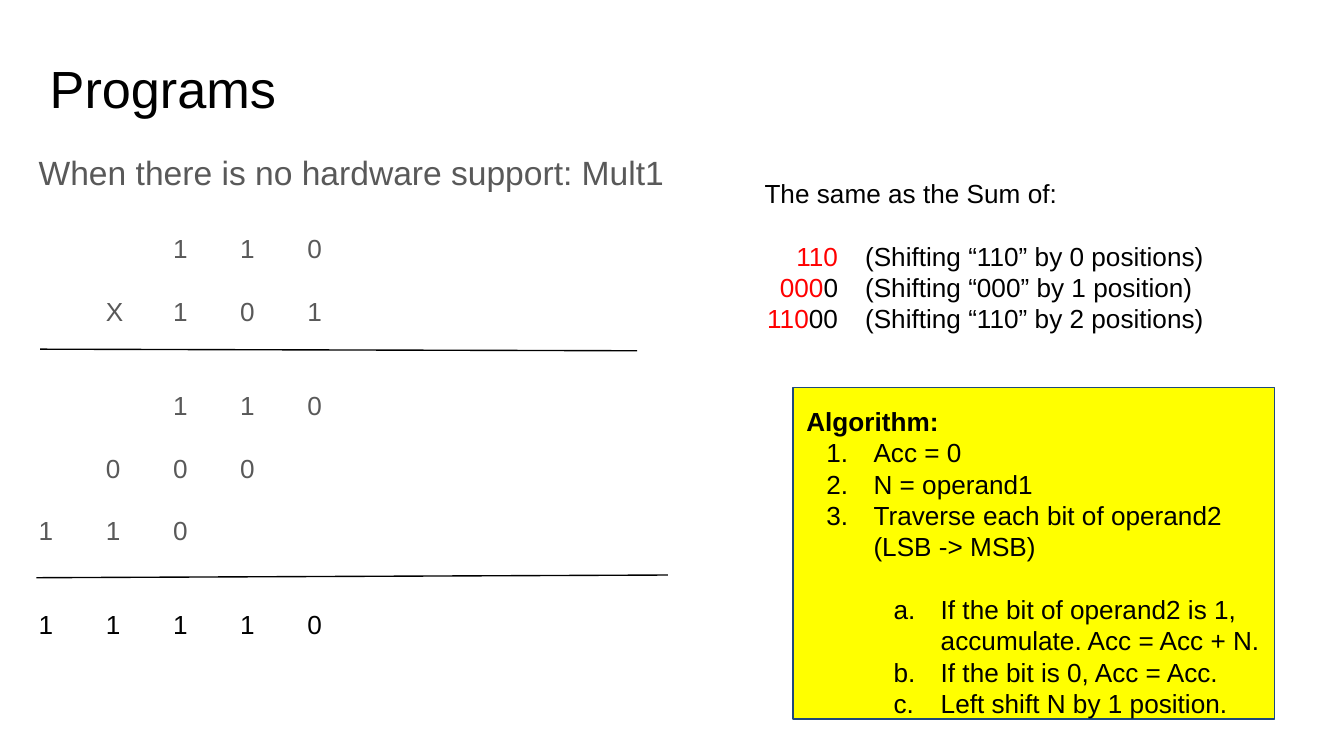
from lxml import etree
from pptx import Presentation
from pptx import util as u
from pptx.dml.color import RGBColor
from pptx.enum import shapes, text
from pptx.oxml import ns

BLACK, GREY, RED, YELLOW, NAVY = "000000", "595959", "FF0000", "FFFF00", "1F497D"
LEADING = 1.2
ROW = 14 * LEADING


def color(value):
    return RGBColor.from_string(value)


def set_attrs(obj, values):
    for name, value in values.items():
        setattr(obj, name, value)


def place(sp, left, top, width, height):
    box = {"left": left, "top": top, "width": width, "height": height}
    set_attrs(sp, {name: u.Cm(value) for name, value in box.items()})


def setup_frame(sp, top_margin=0.25):
    tf = sp.text_frame
    set_attrs(tf, {
        "word_wrap": True,
        "auto_size": text.MSO_AUTO_SIZE.NONE,
        "vertical_anchor": text.MSO_ANCHOR.TOP,
        "margin_left": u.Cm(0.25),
        "margin_right": u.Cm(0.25),
        "margin_top": u.Cm(top_margin),
        "margin_bottom": u.Cm(0.25),
    })
    return tf


def add_paragraph(tf, runs, size=14, before=0, bold=False):
    p = tf.paragraphs[0] if not tf.paragraphs[0].runs else tf.add_paragraph()
    set_attrs(p, {
        "alignment": text.PP_ALIGN.LEFT,
        "line_spacing": u.Pt(round(size * LEADING, 1)),
        "space_before": u.Pt(before),
        "space_after": u.Pt(0),
    })
    for words, fill in runs:
        r = p.add_run()
        r.text = words
        set_attrs(r.font, {"name": "Arial", "size": u.Pt(size), "bold": bold})
        r.font.color.rgb = color(fill)
    return p


def set_bullet(p, margin=0, hanging=0, numbering=None):
    ppr = p._p.get_or_add_pPr()
    ppr.set("marL", str(u.Cm(margin)))
    ppr.set("indent", str(-u.Cm(hanging)))
    if numbering:
        etree.SubElement(ppr, ns.qn("a:buFont"), typeface="Arial")
        etree.SubElement(ppr, ns.qn("a:buAutoNum"), type=numbering)
    else:
        etree.SubElement(ppr, ns.qn("a:buNone"))


def set_tabs(p, stops):
    tabs = etree.SubElement(p._p.get_or_add_pPr(), ns.qn("a:tabLst"))
    for position, align in stops:
        etree.SubElement(tabs, ns.qn("a:tab"), pos=str(u.Cm(position)), algn=align)


def add_title(slide):
    sp = slide.shapes.title
    place(sp, 0.69, 0.81, 23.67, 1.6)
    add_paragraph(setup_frame(sp), [("Programs", BLACK)], size=28)


def add_multiplication(slide):
    sp = slide.placeholders[1]
    place(sp, 0.48, 2.62, 13.56, 9.5)
    tf = setup_frame(sp)
    heading = add_paragraph(tf, [("When there is no hardware support: Mult1", GREY)], size=18)
    set_bullet(heading)
    rows = [
        ("\t\t1\t1\t0", 18 * LEADING, GREY),
        ("\tX\t1\t0\t1", ROW, GREY),
        ("\t\t1\t1\t0", 2 * ROW, GREY),
        ("\t0\t0\t0", ROW, GREY),
        ("1\t1\t0", ROW, GREY),
        ("1\t1\t1\t1\t0", 2 * ROW, BLACK),
    ]
    for digits, before, fill in rows:
        p = add_paragraph(tf, [(digits, fill)], before=before)
        set_bullet(p)
        set_tabs(p, [(2.54 * column, "l") for column in range(1, 5)])


def add_partial_sums(slide):
    sp = slide.shapes.add_textbox(0, 0, 0, 0)
    place(sp, 14.2, 3.1, 9.1, 4.27)
    tf = setup_frame(sp)
    add_paragraph(tf, [("The same as the Sum of:", BLACK)])
    sums = [
        ("110", "", "(Shifting “110” by 0 positions)"),
        ("000", "0", "(Shifting “000” by 1 position)"),
        ("110", "00", "(Shifting “110” by 2 positions)"),
    ]
    for i, (bits, zeros, note) in enumerate(sums):
        runs = [(f"\t{bits}", RED), (f"{zeros}\t{note}", BLACK)]
        p = add_paragraph(tf, runs, before=0 if i else ROW)
        set_tabs(p, [(1.39, "r"), (1.9, "l")])


def add_algorithm(slide):
    sp = slide.shapes.add_shape(shapes.MSO_SHAPE.RECTANGLE, 0, 0, 0, 0)
    place(sp, 14.99, 7.32, 9.1, 6.27)
    sp.shadow.inherit = False
    sp.fill.solid()
    sp.fill.fore_color.rgb = color(YELLOW)
    sp.line.color.rgb = color(NAVY)
    sp.line.width = u.Pt(0.75)
    tf = setup_frame(sp, top_margin=0.34)
    add_paragraph(tf, [("Algorithm:", BLACK)], bold=True)
    steps = [
        "Acc = 0",
        "N = operand1",
        "Traverse each bit of operand2 (LSB -> MSB)",
    ]
    substeps = [
        "If the bit of operand2 is 1, accumulate. Acc = Acc + N.",
        "If the bit is 0, Acc = Acc.",
        "Left shift N by 1 position.",
    ]
    levels = [(steps, "arabicPeriod", 0), (substeps, "alphaLcPeriod", ROW)]
    for level, (items, numbering, gap) in enumerate(levels):
        for i, item in enumerate(items):
            p = add_paragraph(tf, [(item, BLACK)], before=0 if i else gap)
            p.level = level
            set_bullet(p, 1.27 * (level + 1), 0.89, numbering)


def add_rule(slide, *ends):
    line = slide.shapes.add_connector(
        shapes.MSO_CONNECTOR.STRAIGHT, *[u.Cm(end) for end in ends])
    line.line.color.rgb = color(BLACK)
    line.line.width = u.Pt(0.75)
    etree.SubElement(line._element.spPr, ns.qn("a:effectLst"))


def main():
    prs = Presentation()
    set_attrs(prs, {"slide_width": u.Cm(25.4), "slide_height": u.Cm(14.29)})
    slide = prs.slides.add_slide(prs.slide_layouts[1])
    add_title(slide)
    add_multiplication(slide)
    add_partial_sums(slide)
    add_algorithm(slide)
    add_rule(slide, 0.76, 6.6, 12.04, 6.63)
    add_rule(slide, 0.69, 10.92, 12.62, 10.87)
    prs.save("out.pptx")


if __name__ == "__main__":
    main()
